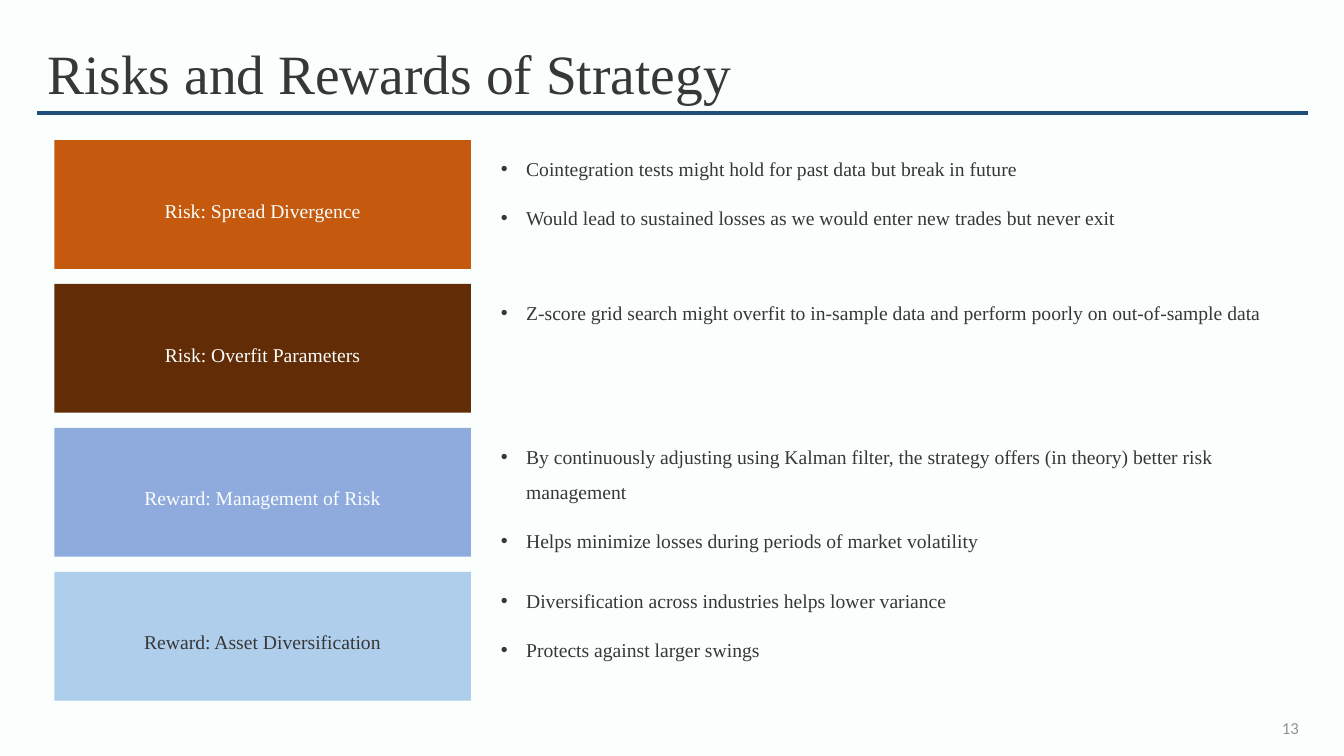
from dataclasses import dataclass

import pptx
import pptx.dml.color
import pptx.enum.shapes
import pptx.enum.text
import pptx.oxml.ns
import pptx.util
from lxml import etree
from pptx.util import Inches

ANCHOR = pptx.enum.text.MSO_ANCHOR
ALIGN = pptx.enum.text.PP_ALIGN


@dataclass(frozen=True)
class Theme:
    background: str = "FAFFFD"
    light: str = "FAFFFD"
    dark: str = "373737"
    rule: str = "1E4E79"
    muted: str = "919191"
    spread_risk: str = "C5590E"
    overfit_risk: str = "622C07"
    managed_reward: str = "8FAADD"
    diversified_reward: str = "AFCEEB"
    font: str = "Times New Roman"
    number_font: str = "Calibri"
    title_size: float = 39.6
    body_size: float = 14
    number_size: float = 12


THEME = Theme()

# Label, fill, label colour, bullets
ROWS = [
    ("Risk: Spread Divergence", THEME.spread_risk, THEME.light,
     ["Cointegration tests might hold for past data but break in future",
      "Would lead to sustained losses as we would enter new trades but never exit"]),
    ("Risk: Overfit Parameters", THEME.overfit_risk, THEME.light,
     ["Z-score grid search might overfit to in-sample data and perform poorly on out-of-sample data"]),
    ("Reward: Management of Risk", THEME.managed_reward, THEME.light,
     ["By continuously adjusting using Kalman filter, the strategy offers (in theory) better risk management",
      "Helps minimize losses during periods of market volatility"]),
    ("Reward: Asset Diversification", THEME.diversified_reward, THEME.dark,
     ["Diversification across industries helps lower variance",
      "Protects against larger swings"]),
]


def rgb(value):
    return pptx.dml.color.RGBColor.from_string(value)


def style(paragraph, size, color, font=THEME.font, align=ALIGN.LEFT):
    paragraph.font.name = font
    paragraph.font.size = pptx.util.Pt(size)
    paragraph.font.color.rgb = rgb(color)
    paragraph.alignment = align


def style_body(paragraph, color, align=ALIGN.LEFT):
    style(paragraph, THEME.body_size, color, align=align)
    paragraph.line_spacing = 1.5
    paragraph.space_before = pptx.util.Pt(10)


def add_bullet(paragraph):
    properties = paragraph._p.get_or_add_pPr()
    properties.set("marL", str(Inches(0.25)))
    properties.set("indent", str(-Inches(0.25)))
    font = etree.SubElement(properties, pptx.oxml.ns.qn("a:buFont"))
    font.set("typeface", "Arial")
    bullet = etree.SubElement(properties, pptx.oxml.ns.qn("a:buChar"))
    bullet.set("char", "•")


def add_heading(slide, left, top, width, height):
    # Title
    title = slide.shapes.title
    title.left, title.top = Inches(left), Inches(top)
    title.width, title.height = Inches(width), Inches(height)
    frame = title.text_frame
    frame.text = "Risks and Rewards of Strategy"
    frame.auto_size = pptx.enum.text.MSO_AUTO_SIZE.NONE
    frame.vertical_anchor = ANCHOR.MIDDLE
    style(frame.paragraphs[0], THEME.title_size, THEME.dark)
    frame.paragraphs[0].line_spacing = 0.9

    # Rule under the title
    rule_top = Inches(top + height + 0.01)
    rule = slide.shapes.add_connector(
        pptx.enum.shapes.MSO_CONNECTOR.STRAIGHT,
        Inches(left), rule_top, Inches(left + width), rule_top)
    rule.line.color.rgb = rgb(THEME.rule)
    rule.line.width = pptx.util.Pt(3)
    etree.SubElement(rule._element.spPr, pptx.oxml.ns.qn("a:effectLst"))


def add_row(slide, left, top, width, height, row):
    label, fill, label_color, bullets = row
    label_width, gap = 4.13, 0.2

    # Coloured label
    block = slide.shapes.add_shape(
        pptx.enum.shapes.MSO_SHAPE.RECTANGLE,
        Inches(left), Inches(top), Inches(label_width), Inches(height))
    block.shadow.inherit = False
    block.fill.solid()
    block.fill.fore_color.rgb = rgb(fill)
    block.line.fill.background()
    block.text_frame.text = label
    block.text_frame.vertical_anchor = ANCHOR.MIDDLE
    style_body(block.text_frame.paragraphs[0], label_color, ALIGN.CENTER)

    # Bulleted explanation
    box = slide.shapes.add_textbox(
        Inches(left + label_width + gap), Inches(top),
        Inches(width - label_width - gap), Inches(height))
    box.text_frame.word_wrap = True
    box.text_frame.text = "\n".join(bullets)
    for paragraph in box.text_frame.paragraphs:
        style_body(paragraph, THEME.dark)
        add_bullet(paragraph)


def add_rows(slide, left, top, width, height):
    gap = 0.15
    row_height = (height - gap * (len(ROWS) - 1)) / len(ROWS)
    for index, row in enumerate(ROWS):
        add_row(slide, left, top + index * (row_height + gap), width, row_height, row)


def add_page_number(slide, left, top, width, height):
    box = slide.shapes.add_textbox(Inches(left), Inches(top), Inches(width), Inches(height))
    box.text_frame.word_wrap = True
    box.text_frame.vertical_anchor = ANCHOR.MIDDLE
    box.text_frame.text = "13"
    style(box.text_frame.paragraphs[0], THEME.number_size, THEME.muted,
          THEME.number_font, ALIGN.RIGHT)


def main():
    presentation = pptx.Presentation()
    presentation.slide_width = Inches(13.33)
    presentation.slide_height = Inches(7.5)
    slide = presentation.slides.add_slide(presentation.slide_layouts.get_by_name("Title Only"))
    slide.background.fill.solid()
    slide.background.fill.fore_color.rgb = rgb(THEME.background)

    add_heading(slide, 0.37, 0.4, 12.6, 0.71)
    add_rows(slide, 0.54, 1.39, 12.39, 5.56)
    add_page_number(slide, 12.53, 7.02, 0.45, 0.4)
    presentation.save("out.pptx")


if __name__ == "__main__":
    main()
